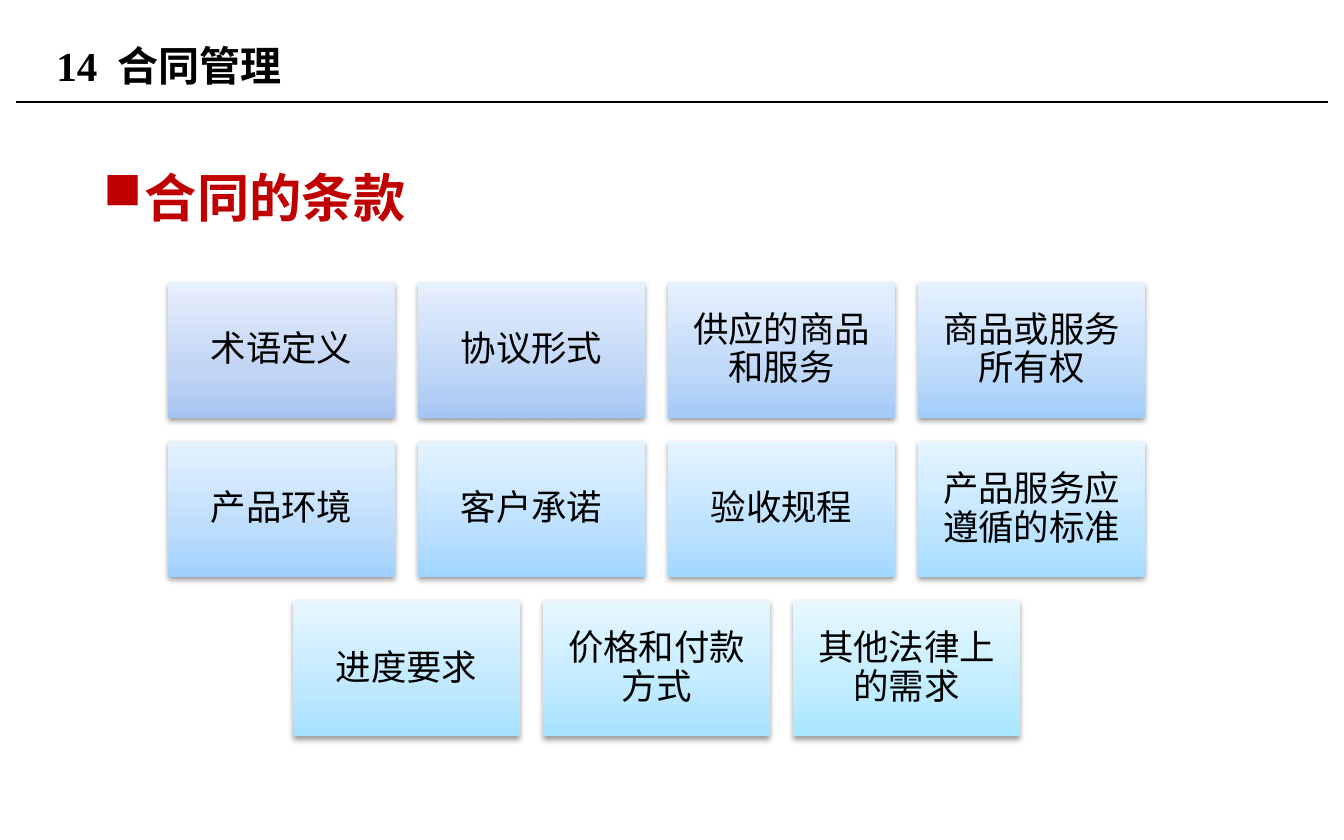
from lxml.etree import SubElement
from pptx import Presentation
from pptx.dml.color import RGBColor
from pptx.enum.shapes import MSO_CONNECTOR, MSO_SHAPE
from pptx.enum.text import MSO_ANCHOR, PP_ALIGN
from pptx.oxml.ns import qn
from pptx.util import Pt

PX = 9144  # 100 px to the inch
WIDTH, HEIGHT = 1000, 625
BLACK = RGBColor(0x00, 0x00, 0x00)
RED = RGBColor(0xC0, 0x00, 0x00)
SERIF, SANS = "Times New Roman", "Lato"

COLUMNS = 4
CARD_W, CARD_H = 169, 101
PITCH_X, PITCH_Y = 186, 118.5
GRADIENT_STOPS = (0, 35, 100)

# Each clause with its gradient, from the bottom of the card to the top.
CLAUSES = [
    ("术语定义", "A6C4F1 C1D5F4 E7EFFC"),
    ("协议形式", "A4C6F4 C0D7F6 E6EFFC"),
    ("供应的商品和服务", "A3C9F7 BFD9F8 E6F0FD"),
    ("商品或服务所有权", "A2CDFA BEDBFA E5F1FE"),
    ("产品环境", "A0D0FD BDDDFC E5F2FF"),
    ("客户承诺", "A0D4FF BCE0FF E5F3FF"),
    ("验收规程", "A2D7FF BDE2FF E6F4FF"),
    ("产品服务应遵循的标准", "A4DBFF BEE5FF E6F5FF"),
    ("进度要求", "A5DFFF BFE8FF E7F6FF"),
    ("价格和付款方式", "A6E2FF C0EAFF E7F7FF"),
    ("其他法律上的需求", "A7E6FF C1EDFF E7F8FF"),
]


def px(*lengths):
    return [round(length * PX) for length in lengths]


def write(frame, text, *, size, font, color=BLACK, bold=False,
          align=PP_ALIGN.LEFT, anchor=MSO_ANCHOR.TOP, spacing=1.0, inset=None):
    frame.word_wrap = True
    frame.vertical_anchor = anchor
    if inset is not None:
        margin, = px(inset)
        frame.margin_left = frame.margin_right = margin
        frame.margin_top = frame.margin_bottom = margin
    paragraph = frame.paragraphs[0]
    paragraph.alignment = align
    paragraph.line_spacing = spacing
    run = paragraph.add_run()
    run.text = text
    run.font.size = Pt(size)
    run.font.name = font
    run.font.bold = bold
    run.font.color.rgb = color
    return paragraph


def add_header(slide, left, top, width, height):
    title = slide.shapes.title
    title.left, title.top, title.width, title.height = px(left, top, width, height)
    write(title.text_frame, "14  合同管理", size=22, font=SERIF, bold=True,
          anchor=MSO_ANCHOR.MIDDLE)

    rule_y, margin = 76, 12
    rule = slide.shapes.add_connector(
        MSO_CONNECTOR.STRAIGHT, *px(margin, rule_y, WIDTH - margin, rule_y))
    rule.line.color.rgb = BLACK
    rule.line.width = Pt(0.75)
    SubElement(rule._element.spPr, qn("a:effectLst"))


def add_heading(slide, left, top, width, height):
    box = slide.shapes.add_textbox(*px(left, top, width, height))
    paragraph = write(box.text_frame, "合同的条款", size=28, font=SERIF,
                      color=RED, bold=True, spacing=1.5)
    properties = paragraph._p.get_or_add_pPr()
    margin, indent = px(81, -31)
    properties.set("marL", str(margin))
    properties.set("indent", str(indent))
    SubElement(properties, qn("a:buChar"), char="■")


def fill_gradient(shape, colors):
    """Fill upwards with one colour for each of GRADIENT_STOPS."""
    shape.fill.gradient()
    shape.fill.gradient_angle = 90
    stops = shape._element.spPr.find(".//" + qn("a:gsLst"))
    for stop in list(stops):
        stops.remove(stop)
    for position, color in zip(GRADIENT_STOPS, colors):
        stop = SubElement(stops, qn("a:gs"), pos=str(position * 1000))
        SubElement(stop, qn("a:srgbClr"), val=str(color))


def cast_shadow(shape):
    shape.shadow.inherit = False
    effects = shape._element.spPr.find(qn("a:effectLst"))
    shadow = SubElement(effects, qn("a:outerShdw"), blurRad=str(Pt(3.1)),
                        dist=str(Pt(1.6)), dir="5400000", rotWithShape="0")
    color = SubElement(shadow, qn("a:srgbClr"), val=str(BLACK))
    SubElement(color, qn("a:alpha"), val="38000")


def add_card(slide, left, top, clause, colors):
    card = slide.shapes.add_shape(
        MSO_SHAPE.RECTANGLE, *px(left, top, CARD_W, CARD_H))
    fill_gradient(card, colors)
    card.line.fill.background()
    cast_shadow(card)
    write(card.text_frame, clause, size=19, font=SANS, align=PP_ALIGN.CENTER,
          anchor=MSO_ANCHOR.MIDDLE, spacing=0.9, inset=8)


def add_clause_grid(slide, left, top):
    """Lay the clauses out in rows, with a short last row centred."""
    for index, (clause, codes) in enumerate(CLAUSES):
        row, column = divmod(index, COLUMNS)
        in_row = min(COLUMNS, len(CLAUSES) - row * COLUMNS)
        column += (COLUMNS - in_row) / 2
        colors = [RGBColor.from_string(code) for code in codes.split()]
        add_card(slide, left + column * PITCH_X, top + row * PITCH_Y,
                 clause, colors)


def main():
    deck = Presentation()
    deck.slide_width, deck.slide_height = px(WIDTH, HEIGHT)
    slide = deck.slides.add_slide(deck.slide_layouts[5])
    add_header(slide, 32, 13, 638, 71)
    add_heading(slide, 17, 95, 944, 390)
    add_clause_grid(slide, 125, 210)
    deck.save("out.pptx")


if __name__ == "__main__":
    main()
